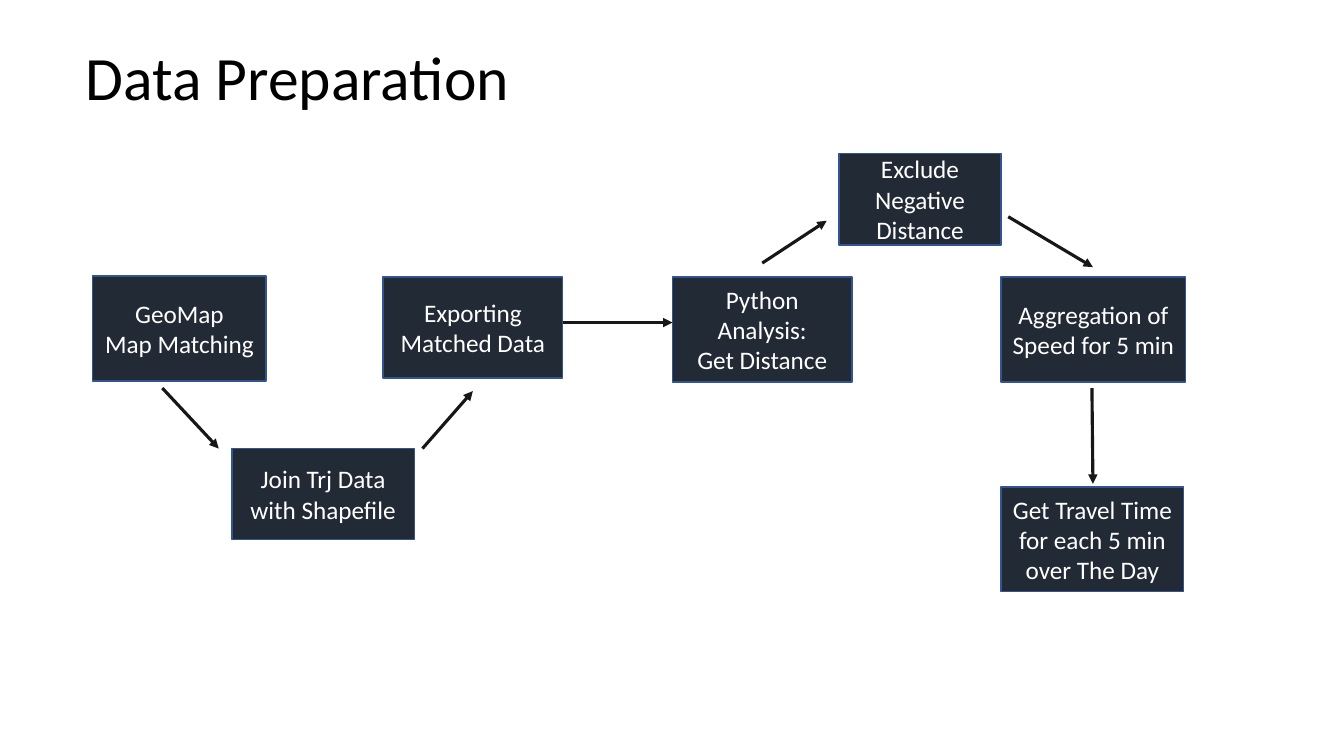
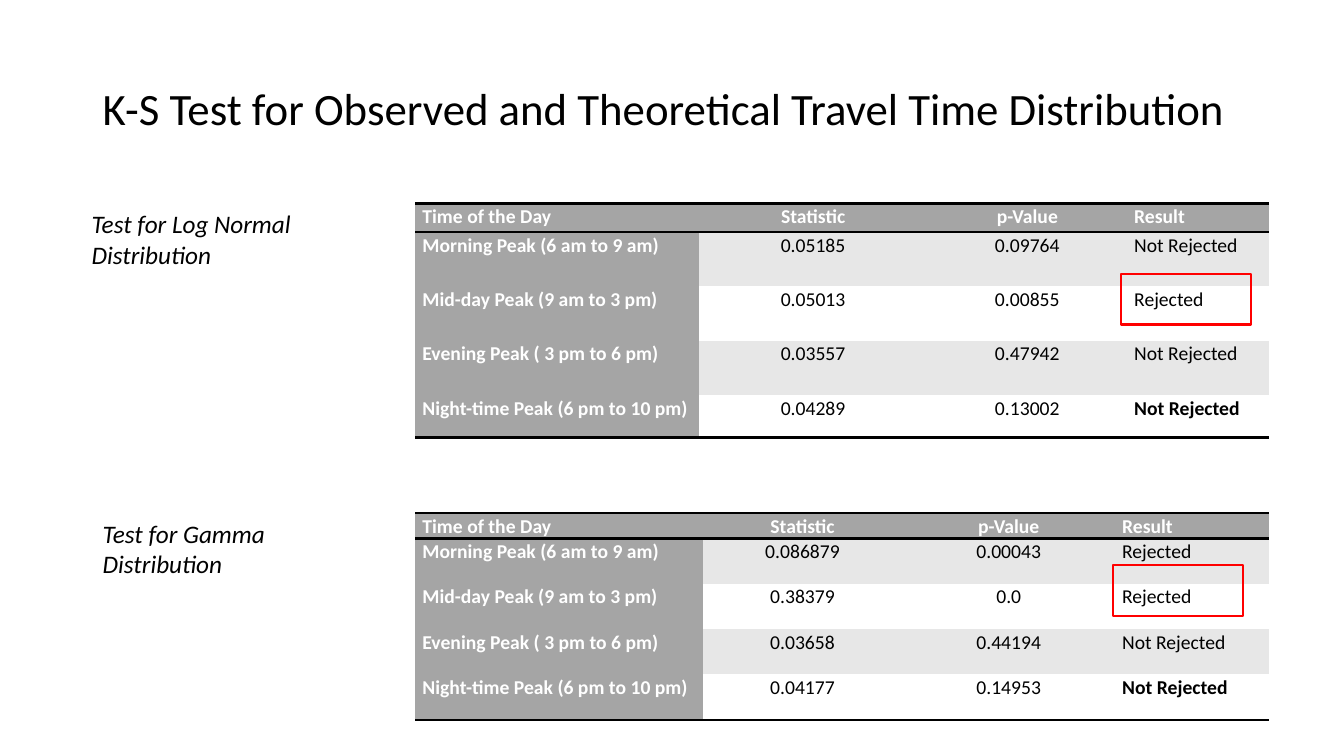
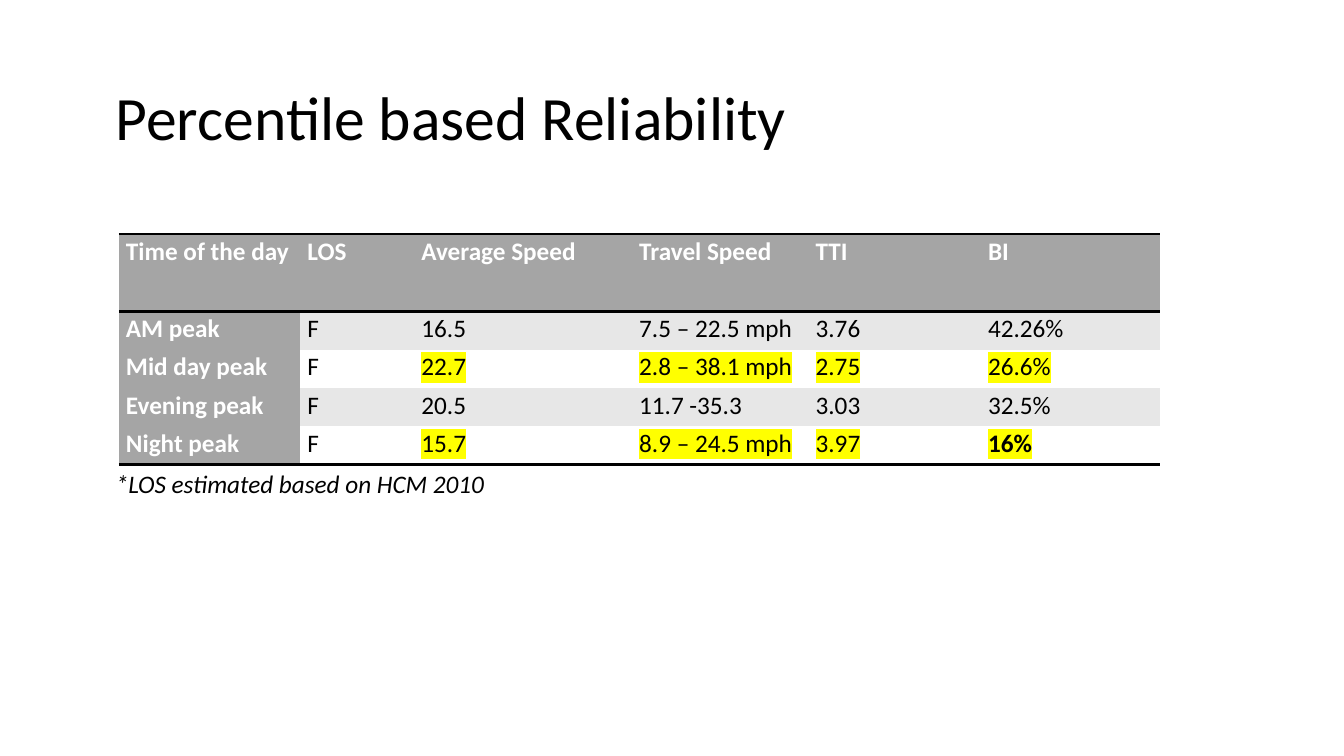
from lxml.etree import SubElement
from pptx import Presentation
from pptx.dml.color import RGBColor
from pptx.enum.shapes import MSO_CONNECTOR as CONNECTOR, MSO_SHAPE as SHAPE
from pptx.enum.text import MSO_ANCHOR as ANCHOR, PP_ALIGN as ALIGN
from pptx.oxml import parse_xml
from pptx.oxml.ns import nsdecls, qn
from pptx.util import Inches, Pt

# Shared look
FONT = "Calibri"
BLACK, WHITE, RED, YELLOW = "000000", "FFFFFF", "FF0000", "FFFF00"
BOX_FILL, BOX_LINE, ARROW = "222A35", "325491", "181717"
HEADER_FILL, BAND_FILL = "A5A5A5", "E7E7E7"
PLAIN_TABLE_STYLE = "{2D5ABB26-0587-4C30-8999-92F81FD0307C}"
TITLE_SIZE = (11.5, 1.45)

# Flow chart: text, left, top, width, height
STEPS = [
    ("GeoMap\nMap Matching", 0.92, 2.74, 1.72, 1.04),
    ("Exporting Matched Data", 3.8, 2.75, 1.78, 1),
    ("Python Analysis:\nGet Distance", 6.67, 2.75, 1.78, 1.04),
    ("Aggregation of Speed for 5 min", 9.93, 2.75, 1.83, 1.04),
    ("Get Travel Time for each 5 min over The Day", 9.93, 4.83, 1.81, 1.04),
    ("Join Trj Data with Shapefile", 2.3, 4.45, 1.81, 0.9),
    ("Exclude Negative Distance", 8.32, 1.52, 1.61, 0.91),
]
# Start x, start y, end x, end y
ARROWS = [
    (1.61, 3.85, 2.17, 4.45),
    (4.19, 4.45, 4.69, 3.88),
    (5.58, 3.2, 6.67, 3.2),
    (7.56, 2.61, 8.2, 2.19),
    (10, 2.15, 10.84, 2.65),
    (10.83, 3.85, 10.84, 4.8),
]

# Test tables
TEST_HEADER = ("Time of the Day", "Statistic", "p-Value", "Result")
PERIODS = (
    "Morning Peak (6 am to 9 am)",
    "Mid-day Peak (9 am to 3 pm)",
    "Evening Peak ( 3 pm to 6 pm)",
    "Night-time Peak (6 pm to 10 pm)",
)
LOG_NORMAL = [
    ("0.05185", "0.09764", "Not Rejected"),
    ("0.05013", "0.00855", "Rejected"),
    ("0.03557", "0.47942", "Not Rejected"),
    ("0.04289", "0.13002", "Not Rejected"),
]
GAMMA = [
    ("0.086879", "0.00043", "Rejected"),
    ("0.38379", "0.0", "Rejected"),
    ("0.03658", "0.44194", "Not Rejected"),
    ("0.04177", "0.14953", "Not Rejected"),
]
RELIABILITY = [
    ("Time of the day", "LOS", "Average Speed", "Travel Speed", "TTI", "BI"),
    ("AM peak", "F", "16.5", "7.5 – 22.5 mph", "3.76", "42.26%"),
    ("Mid day peak", "F", "22.7", "2.8 – 38.1 mph", "2.75", "26.6%"),
    ("Evening peak", "F", "20.5", "11.7 -35.3", "3.03", "32.5%"),
    ("Night peak", "F", "15.7", "8.9 – 24.5 mph", "3.97", "16%"),
]


def color(hex_value):
    return RGBColor.from_string(hex_value)


def write(frame, text, size, text_color=BLACK, align=ALIGN.LEFT, spacing=1.0, **styles):
    """Fill a text frame, giving every paragraph the same format."""
    frame.text = text
    formats = {"name": FONT, "size": Pt(size), **styles}
    for paragraph in frame.paragraphs:
        paragraph.alignment = align
        paragraph.line_spacing = spacing
        for run in paragraph.runs:
            for name, value in formats.items():
                setattr(run.font, name, value)
            run.font.color.rgb = color(text_color)


def add_text(slide, text, left, top, width, height, size, anchor=ANCHOR.TOP, wrap=True, **styles):
    box = slide.shapes.add_textbox(*map(Inches, (left, top, width, height)))
    box.text_frame.word_wrap = wrap
    box.text_frame.vertical_anchor = anchor
    write(box.text_frame, text, size, **styles)


def add_title(slide, text, left, top, size=44):
    add_text(slide, text, left, top, *TITLE_SIZE, size, anchor=ANCHOR.MIDDLE, spacing=0.9)


def add_rectangle(slide, left, top, width, height, line, line_width, fill=None):
    shape = slide.shapes.add_shape(SHAPE.RECTANGLE, *map(Inches, (left, top, width, height)))
    shape.shadow.inherit = False
    shape.line.color.rgb = color(line)
    shape.line.width = Pt(line_width)
    if fill:
        shape.fill.solid()
        shape.fill.fore_color.rgb = color(fill)
    else:
        shape.fill.background()
    return shape


def add_step(slide, text, *bounds):
    frame = add_rectangle(slide, *bounds, BOX_LINE, 1, BOX_FILL).text_frame
    frame.word_wrap = True
    frame.vertical_anchor = ANCHOR.MIDDLE
    write(frame, text, 18, WHITE, ALIGN.CENTER)


def add_arrow(slide, *points):
    connector = slide.shapes.add_connector(CONNECTOR.STRAIGHT, *map(Inches, points))
    connector.line.color.rgb = color(ARROW)
    connector.line.width = Pt(2.25)
    SubElement(connector.line._get_or_add_ln(), qn("a:tailEnd"), type="triangle")
    SubElement(connector._element.spPr, qn("a:effectLst"))


def add_borders(cell, edges):
    """Draw black rules on the given edges, in the order T, B."""
    for position, edge in enumerate(edges):
        border = parse_xml(
            f'<a:ln{edge} {nsdecls("a")} w="{Pt(2)}"><a:solidFill>'
            f'<a:srgbClr val="{BLACK}"/></a:solidFill></a:ln{edge}>')
        cell._tc.get_or_add_tcPr().insert(position, border)


def highlight(cell):
    for run in cell.text_frame.paragraphs[0].runs:
        mark = parse_xml(
            f'<a:highlight {nsdecls("a")}><a:srgbClr val="{YELLOW}"/></a:highlight>')
        run.font._element.find(qn("a:solidFill")).addnext(mark)


def add_data_table(slide, rows, left, top, widths, heights, size, centered=(), marked_rows=()):
    bounds = map(Inches, (left, top, sum(widths), sum(heights)))
    table = slide.shapes.add_table(len(rows), len(widths), *bounds).table
    table._tbl.tblPr.find(qn("a:tableStyleId")).text = PLAIN_TABLE_STYLE
    table.first_row = table.horz_banding = False
    for column, width in zip(table.columns, widths):
        column.width = Inches(width)
    for row, height in zip(table.rows, heights):
        row.height = Inches(height)

    last_row, last_column = len(rows) - 1, len(widths) - 1
    margins = {"margin_left": 0.07, "margin_right": 0.07, "margin_top": 0, "margin_bottom": 0}
    for r, values in enumerate(rows):
        for c, text in enumerate(values):
            cell = table.cell(r, c)
            for name, value in margins.items():
                setattr(cell, name, Inches(value))
            heading = r == 0 or c == 0
            fill = HEADER_FILL if heading else BAND_FILL if r % 2 else WHITE
            cell.fill.solid()
            cell.fill.fore_color.rgb = color(fill)
            write(cell.text_frame, text, size, WHITE if heading else BLACK,
                  ALIGN.CENTER if c in centered else ALIGN.LEFT, 1.07,
                  bold=heading or (r, c) == (last_row, last_column))
            add_borders(cell, "TB" if r == 0 else "B" if r == last_row else "")
            if r in marked_rows and c >= 2:
                highlight(cell)


def add_test(slide, label, label_bounds, results, top, widths, heights, frame_corner):
    """Add a labelled test table with a red frame round one result."""
    rows = [TEST_HEADER] + [(period, *values) for period, values in zip(PERIODS, results)]
    add_data_table(slide, rows, 4.12, top, widths, heights, 14, centered=(1, 2))
    add_text(slide, label, *label_bounds, 18, italic=True)
    add_rectangle(slide, *frame_corner, 1.29, 0.5, RED, 1.5)


def build_preparation(slide):
    add_title(slide, "Data Preparation", 0.75, 0.07)
    for step in STEPS:
        add_step(slide, *step)
    for points in ARROWS:
        add_arrow(slide, *points)


def build_tests(slide):
    add_title(slide, "K-S Test for Observed and Theoretical Travel Time Distribution",
              0.92, 0.38, 32)
    add_test(slide, "Test for Log Normal Distribution", (0.81, 2.02, 2.88, 0.71), LOG_NORMAL,
             2.02, (2.81, 2.27, 1.98, 1.41), (0.28, 0.54, 0.54, 0.54, 0.42), (11.12, 2.72))
    add_test(slide, "Test for Gamma Distribution", (0.92, 5.09, 2.58, 0.71), GAMMA,
             5.09, (2.85, 1.98, 2.11, 1.53), (0.22, *[0.45] * 4), (11.04, 5.61))


def build_reliability(slide):
    add_title(slide, "Percentile based Reliability", 1.05, 0.47)
    add_data_table(slide, RELIABILITY, 1.18, 2.32, (1.8, 1.13, 2.16, 1.75, 1.71, 1.78),
                   (0.77, *[0.38] * 4), 18, marked_rows=(2, 4))
    add_text(slide, "*LOS estimated based on HCM 2010", 1.05, 4.6, 3.92, 0.4, 18,
             wrap=False, italic=True)


def main():
    presentation = Presentation()
    presentation.slide_width = Inches(13.33)
    presentation.slide_height = Inches(7.5)
    blank = presentation.slide_layouts[6]
    for build in (build_preparation, build_tests, build_reliability):
        build(presentation.slides.add_slide(blank))
    presentation.save("out.pptx")


if __name__ == "__main__":
    main()
